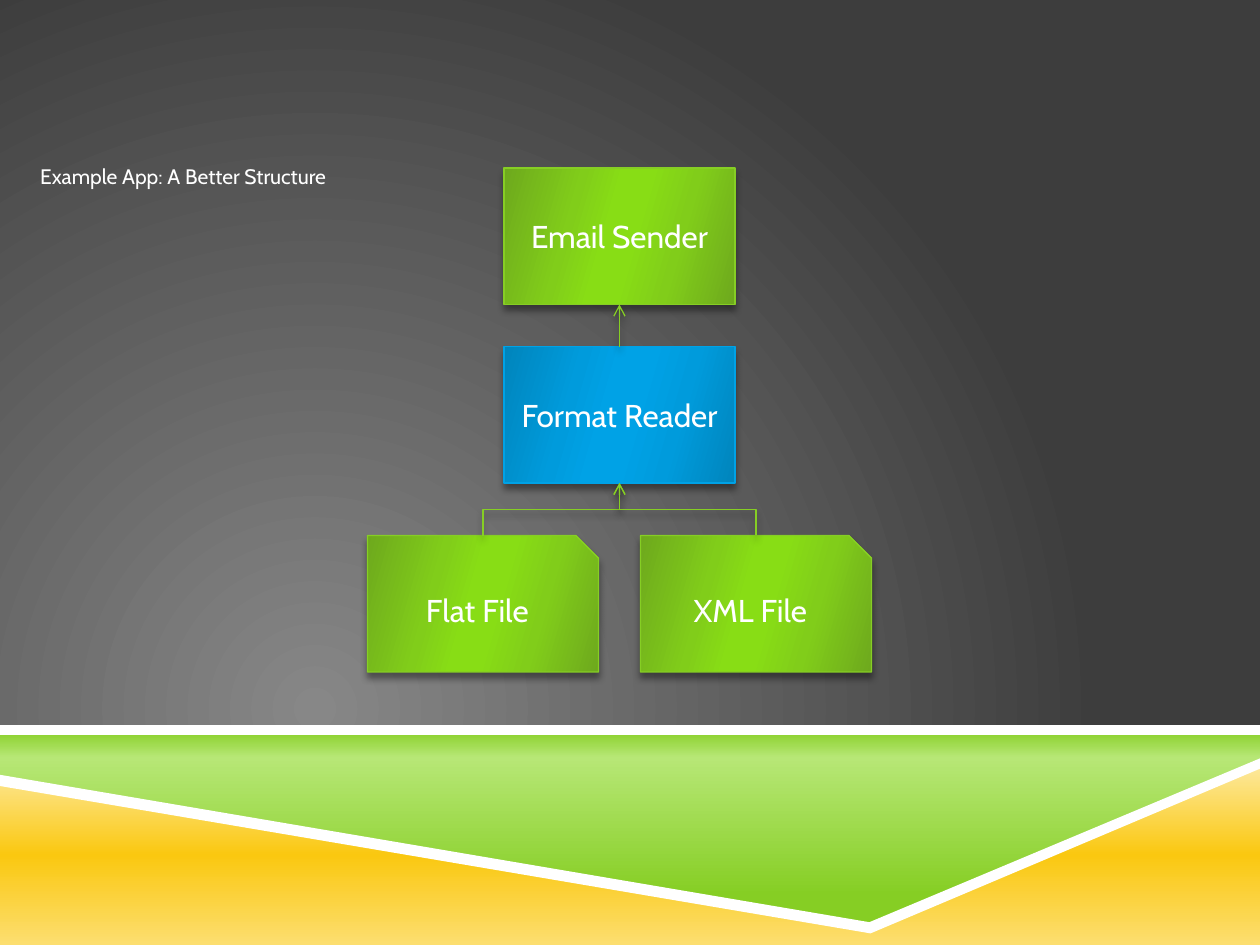
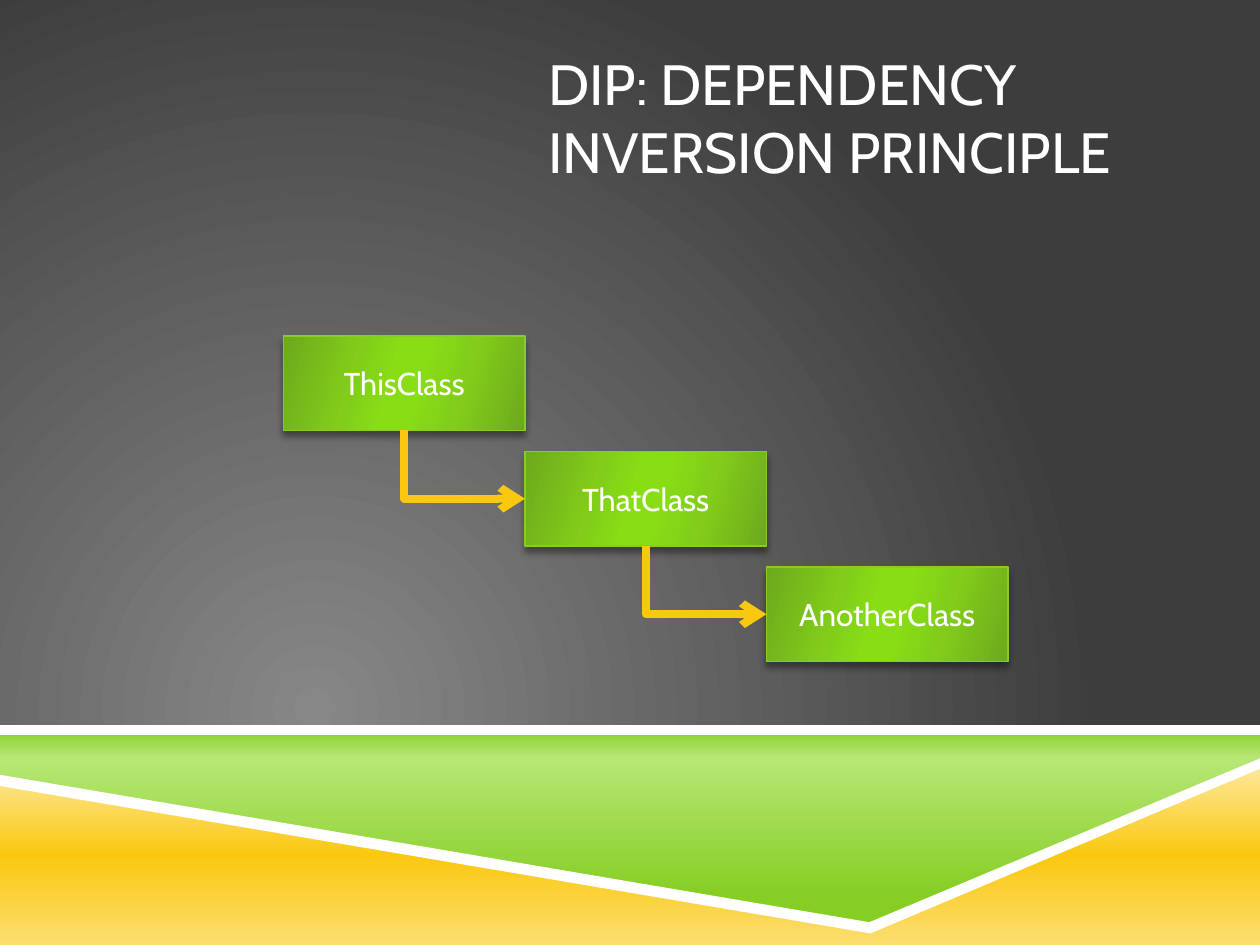
"""Build two slides on dependency inversion: an app structure and a chain of classes."""
from lxml import etree
from pptx import Presentation
from pptx.dml.color import RGBColor
from pptx.enum.shapes import MSO_CONNECTOR, MSO_SHAPE
from pptx.enum.text import MSO_ANCHOR, MSO_AUTO_SIZE, PP_ALIGN
from pptx.oxml.ns import qn
from pptx.util import Pt

RECTANGLE = MSO_SHAPE.RECTANGLE
SNIPPED = MSO_SHAPE.SNIP_1_RECTANGLE
ELBOW = MSO_CONNECTOR.ELBOW
TOP, MIDDLE = MSO_ANCHOR.TOP, MSO_ANCHOR.MIDDLE
LEFT, CENTER = PP_ALIGN.LEFT, PP_ALIGN.CENTER

FONT = "Cabin"
WIDTH, HEIGHT = 720, 540
COLORS = {
    "white": "FFFFFF", "black": "000000", "green": "86CE24", "blue": "00A2E6",
    "pale_green": "B7E776", "yellow": "FAC810", "cream": "FDE99F",
    "sand": "FCDE70", "gray": "878787", "charcoal": "3D3D3D",
    "green_edge": "6EA91D", "green_mid": "81CD1A", "green_glow": "88DD15",
    "blue_edge": "0085BC", "blue_mid": "009BDC",
}
GREEN_BOX = ("green", "green_edge", "green_mid", "green_glow")
BLUE_BOX = ("blue", "blue_edge", "blue_mid", "blue")


def color(name):
    return RGBColor.from_string(COLORS[name])


def add_child(parent, tag, **attributes):
    child = etree.SubElement(parent, qn(tag))
    for key, value in attributes.items():
        child.set(key, str(value))
    return child


def set_gradient(fill, properties, stops, angle=None, center=None):
    """Fill with (percent, color) stops, linear at an angle or circular."""
    fill.gradient()
    gradient = properties.find(qn("a:gradFill"))
    for child in list(gradient):
        gradient.remove(child)
    stop_list = add_child(gradient, "a:gsLst")
    for percent, name in stops:
        stop = add_child(stop_list, "a:gs", pos=percent * 1000)
        add_child(stop, "a:srgbClr", val=COLORS[name])
    if center is None:
        add_child(gradient, "a:lin", ang=angle * 60000, scaled=0)
    else:
        circle = add_child(gradient, "a:path", path="circle")
        sides = {side: value * 1000 for side, value in zip("ltrb", center)}
        add_child(circle, "a:fillToRect", **sides)


def add_shadow(properties):
    effects = properties.find(qn("a:effectLst"))
    shadow = add_child(effects, "a:outerShdw", blurRad=Pt(4), dist=Pt(3.3),
                       dir=90 * 60000, algn="ctr", rotWithShape=0)
    shade = add_child(shadow, "a:srgbClr", val=COLORS["black"])
    add_child(shade, "a:alpha", val=40000)


def format_text(text_frame, text, size, alignment, anchor):
    text_frame.text = text
    text_frame.word_wrap = True
    text_frame.vertical_anchor = anchor
    paragraph = text_frame.paragraphs[0]
    paragraph.alignment = alignment
    font = paragraph.runs[0].font
    font.name, font.size = FONT, Pt(size)
    font.color.rgb = color("white")


def set_title(slide, text, box, size, inset):
    title = slide.shapes.title
    title.left, title.top, title.width, title.height = map(Pt, box)
    text_frame = title.text_frame
    format_text(text_frame, text, size, LEFT, TOP)
    text_frame.auto_size = MSO_AUTO_SIZE.NONE
    text_frame.margin_left = Pt(inset)


def add_box(slide, text, left, top, size, kind=RECTANGLE, palette=GREEN_BOX):
    shape = slide.shapes.add_shape(kind, Pt(left), Pt(top), *map(Pt, size))
    line, edge, middle, glow = palette
    stops = [(0, edge), (30, middle), (45, glow), (55, glow), (73, middle), (100, edge)]
    properties = shape._element.spPr
    set_gradient(shape.fill, properties, stops, 16)
    shape.line.color.rgb = color(line)
    shape.line.width = Pt(0.75)
    shape.shadow.inherit = False
    add_shadow(properties)
    format_text(shape.text_frame, text, 18, CENTER, MIDDLE)
    return shape


def add_elbow_arrow(slide, start, end, line, width, preset="bentConnector3", shadow=False):
    """Add an elbow arrow between two EMU points that leaves its start vertically."""
    middle_x, middle_y = (start[0] + end[0]) // 2, (start[1] + end[1]) // 2
    turned = [value for x, y in (start, end)
              for value in (middle_x - (y - middle_y), middle_y + (x - middle_x))]
    connector = slide.shapes.add_connector(ELBOW, *turned)
    connector.line.color.rgb = color(line)
    connector.line.width = Pt(width)
    properties = connector._element.spPr
    properties.find(qn("a:xfrm")).set("rot", str(270 * 60000))
    properties.find(qn("a:prstGeom")).set("prst", preset)
    add_child(properties.find(qn("a:ln")), "a:tailEnd", type="arrow")
    add_child(properties, "a:effectLst")
    if shadow:
        add_shadow(properties)


def top_of(shape):
    return shape.left + shape.width // 2, shape.top


def bottom_of(shape):
    return shape.left + shape.width // 2, shape.top + shape.height


def left_of(shape):
    return shape.left, shape.top + shape.height // 2


def add_band(slide, points, stops):
    """Add a filled outline; one stop is a solid color, more make a gradient."""
    corners = [(Pt(x), Pt(y)) for x, y in points]
    builder = slide.shapes.build_freeform(*corners[0], scale=1.0)
    builder.add_line_segments(corners[1:], close=True)
    band = builder.convert_to_shape()
    if len(stops) > 1:
        set_gradient(band.fill, band._element.spPr, stops, 90)
    else:
        band.fill.solid()
        band.fill.fore_color.rgb = color(stops[0][1])
    band.line.fill.background()
    band.shadow.inherit = False
    return band


def decorate_layout(layout, slide):
    """Give the layout its background and bands, which are drawn by way of a slide."""
    for placeholder in list(layout.placeholders):
        if placeholder.placeholder_format.idx >= 10:
            layout.shapes._spTree.remove(placeholder._element)
    fill = layout.background.fill
    fill.gradient()
    set_gradient(fill, layout._element.xpath(".//p:bgPr")[0],
                 [(0, "gray"), (100, "charcoal")], center=(50, 100, 100, 50))
    white = [(0, "white")]
    bands = [
        ([(0, 417.6), (WIDTH, 416.9), (WIDTH, 437), (496, 530.6), (0, 445.7)],
         [(0, "green"), (14, "pale_green"), (83, "green")]),
        ([(0, 447.1), (498.2, 531.4), (WIDTH, 437), (WIDTH, HEIGHT), (0, HEIGHT)],
         [(0, "cream"), (50, "yellow"), (100, "sand")]),
        ([(0, 414.4), (WIDTH, 414.4), (WIDTH, 420.2), (0, 420.2)], white),
        ([(0, 442.8), (496.8, 527), (WIDTH, 433.4), (WIDTH, 439.3),
          (497.5, 533.4), (0, 449.2)], white),
    ]
    for points, stops in bands:
        layout.shapes._spTree.append(add_band(slide, points, stops)._element)


def build_structure(slide):
    set_title(slide, "Example App: A Better Structure", (18, 90, 684, 36), 12, 5)
    size = (132, 78)
    sender = add_box(slide, "Email Sender", 288, 96, size)
    files = [add_box(slide, text, left, 306, size, SNIPPED)
             for text, left in (("Flat File", 210), ("XML File", 366))]
    reader = add_box(slide, "Format Reader", 288, 198, size, palette=BLUE_BOX)
    links = [(file, reader) for file in files] + [(reader, sender)]
    for lower, upper in links:
        add_elbow_arrow(slide, top_of(lower), bottom_of(upper), "green", 0.75, shadow=True)


def build_class_chain(slide):
    set_title(slide, "DIP: DEPENDENCY INVERSION PRINCIPLE", (306, 24, 366, 120), 32.4, 7.2)
    size = (138, 54)
    classes = [add_box(slide, name, 162 + 138 * step, 192 + 66 * step, size)
               for step, name in enumerate(("ThisClass", "ThatClass", "AnotherClass"))]
    for user, used in zip(classes, classes[1:]):
        add_elbow_arrow(slide, bottom_of(user), left_of(used), "yellow", 4.5, "bentConnector2")


def main():
    presentation = Presentation()
    presentation.slide_width, presentation.slide_height = Pt(WIDTH), Pt(HEIGHT)
    layout = presentation.slide_layouts[5]
    structure_slide = presentation.slides.add_slide(layout)
    decorate_layout(layout, structure_slide)
    build_structure(structure_slide)
    build_class_chain(presentation.slides.add_slide(layout))
    presentation.save("out.pptx")


if __name__ == "__main__":
    main()
